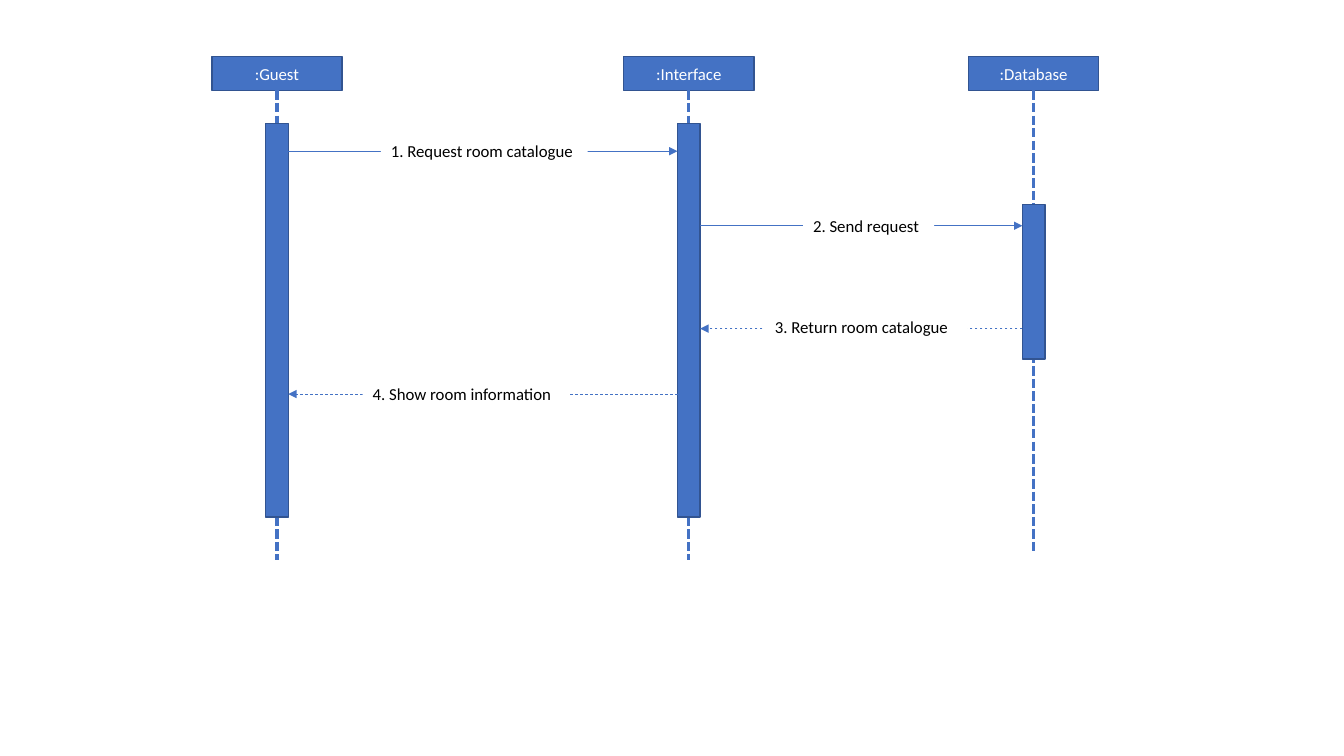
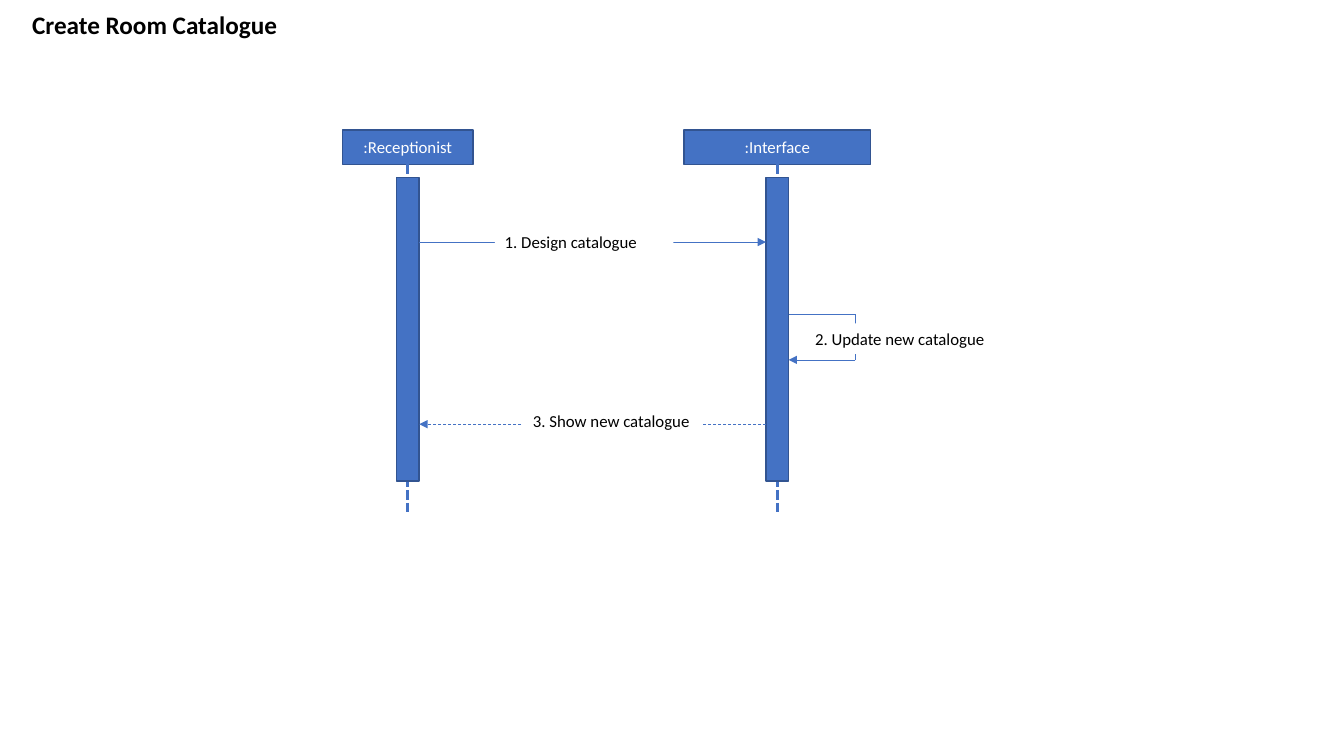
from dataclasses import dataclass

from lxml import etree
from pptx import Presentation
from pptx.dml.color import RGBColor
from pptx.enum.dml import MSO_LINE
from pptx.enum.shapes import MSO_CONNECTOR, MSO_SHAPE
from pptx.enum.text import MSO_ANCHOR, MSO_AUTO_SIZE, PP_ALIGN
from pptx.oxml.ns import qn
from pptx.util import Cm, Pt

RECTANGLE = MSO_SHAPE.RECTANGLE
STRAIGHT = MSO_CONNECTOR.STRAIGHT
SHORT_DASH = MSO_LINE.SQUARE_DOT
DASH = MSO_LINE.DASH
MIDDLE = MSO_ANCHOR.MIDDLE
CENTER = PP_ALIGN.CENTER
GROW = MSO_AUTO_SIZE.SHAPE_TO_FIT_TEXT


@dataclass(frozen=True)
class Theme:
    """Colours, type sizes, line weights and shared measures in centimetres."""
    font: str = "Calibri"
    blue: RGBColor = RGBColor(0x44, 0x72, 0xC4)
    outline: RGBColor = RGBColor(0x32, 0x54, 0x91)
    white: RGBColor = RGBColor(0xFF, 0xFF, 0xFF)
    black: RGBColor = RGBColor(0, 0, 0)
    title_size: float = 18
    body_size: float = 12
    outline_weight: float = 1
    lifeline_weight: float = 2.25
    message_weight: float = 0.5
    head_height: float = 0.86
    bar_width: float = 0.57
    label_height: float = 0.77


THEME = Theme()


@dataclass(frozen=True)
class Box:
    """A region of the slide in centimetres."""
    left: float
    top: float
    width: float
    height: float

    def inner(self, left, top, width, height):
        """Return a box placed relative to this one."""
        return Box(self.left + left, self.top + top, width, height)

    def lengths(self):
        """Return the four measures as slide lengths."""
        return [Cm(value) for value in (self.left, self.top, self.width, self.height)]


@dataclass(frozen=True)
class Participant:
    """A lifeline with its head and activation bar, relative to the diagram."""
    name: str
    center: float
    bar_top: float
    bar_height: float
    line_end: float
    head_width: float = 3.28

    def edge(self, side):
        """Return the bar edge on the right (1) or left (-1) side."""
        return self.center + side * THEME.bar_width / 2


@dataclass(frozen=True)
class Message:
    """A call between two participants, or a reply when dashed."""
    text: str
    sender: int
    receiver: int
    y: float
    label_left: float
    label_width: float
    label_lift: float = 0.38
    reply: bool = False


@dataclass(frozen=True)
class SelfMessage:
    """A call that loops back to its own participant."""
    text: str
    owner: int
    y: float
    reach: float
    drop: float
    label_left: float
    label_top: float
    label_width: float


def write_text(shape, text, size, color, bold=False):
    """Set one line of text on a shape and return its paragraph."""
    shape.text_frame.text = text
    paragraph = shape.text_frame.paragraphs[0]
    font = paragraph.runs[0].font
    font.name, font.size, font.bold = THEME.font, Pt(size), bold
    font.color.rgb = color
    return paragraph


def add_block(slide, box):
    """Add an outlined blue rectangle."""
    shape = slide.shapes.add_shape(RECTANGLE, *box.lengths())
    shape.shadow.inherit = False
    shape.fill.solid()
    shape.fill.fore_color.rgb = THEME.blue
    shape.line.color.rgb = THEME.outline
    shape.line.width = Pt(THEME.outline_weight)
    return shape


def add_text(slide, box, text, size, bold=False):
    """Add a growing text box in black."""
    shape = slide.shapes.add_textbox(*box.lengths())
    shape.text_frame.word_wrap = True
    shape.text_frame.auto_size = GROW
    write_text(shape, text, size, THEME.black, bold)
    return shape


def add_label(slide, box, text):
    """Add a message label that masks the line behind it."""
    label = add_text(slide, box, text, THEME.body_size)
    label.fill.solid()
    label.fill.fore_color.rgb = THEME.white


def add_line(slide, box, start, end, weight, dash=None, arrow=False):
    """Draw a straight line between two points relative to the box."""
    points = [Cm(value) for x, y in (start, end) for value in (box.left + x, box.top + y)]
    connector = slide.shapes.add_connector(STRAIGHT, *points)
    connector.line.color.rgb = THEME.blue
    connector.line.width = Pt(weight)
    if dash is not None:
        connector.line.dash_style = dash
    properties = connector._element.spPr
    if arrow:
        etree.SubElement(properties.find(qn("a:ln")), qn("a:tailEnd"), type="triangle")
    etree.SubElement(properties, qn("a:effectLst"))


def add_participant(slide, box, participant):
    """Draw a head, its lifeline and its activation bar."""
    center, width = participant.center, participant.head_width
    head = add_block(slide, box.inner(center - width / 2, 0, width, THEME.head_height))
    head.text_frame.vertical_anchor = MIDDLE
    write_text(head, participant.name, THEME.body_size, THEME.white).alignment = CENTER
    add_line(slide, box, (center, THEME.head_height), (center, participant.line_end),
             THEME.lifeline_weight, SHORT_DASH)
    add_block(slide, box.inner(participant.edge(-1), participant.bar_top,
                               THEME.bar_width, participant.bar_height))


def add_message(slide, box, participants, message):
    """Draw an arrow between two bars with its label."""
    side = 1 if message.receiver > message.sender else -1
    start = participants[message.sender].edge(side)
    end = participants[message.receiver].edge(-side)
    add_line(slide, box, (start, message.y), (end, message.y), THEME.message_weight,
             DASH if message.reply else None, arrow=True)
    add_label(slide, box.inner(message.label_left, message.y - message.label_lift,
                               message.label_width, THEME.label_height), message.text)


def add_self_message(slide, box, participants, message):
    """Draw a three-sided loop beside a bar with its label."""
    near = participants[message.owner].edge(1)
    far, bottom = near + message.reach, message.y + message.drop
    corners = [(near, message.y), (far, message.y), (far, bottom), (near, bottom)]
    for start, end in zip(corners, corners[1:]):
        add_line(slide, box, start, end, THEME.message_weight, arrow=end == corners[-1])
    add_label(slide, box.inner(message.label_left, message.label_top,
                               message.label_width, THEME.label_height), message.text)


def add_sequence_slide(presentation, box, participants, messages, title=None):
    """Build a sequence diagram slide with an optional title."""
    slide = presentation.slides.add_slide(presentation.slide_layouts[6])
    if title:
        add_text(slide, Box(0.56, 0.1, 6.76, 1.02), title, THEME.title_size, bold=True)
    for participant in participants:
        add_participant(slide, box, participant)
    for message in messages:
        draw = add_self_message if isinstance(message, SelfMessage) else add_message
        draw(slide, box, participants, message)


def main():
    """Create the presentation and save it."""
    presentation = Presentation()
    presentation.slide_width, presentation.slide_height = Cm(33.87), Cm(19.05)
    add_sequence_slide(
        presentation, Box(5.34, 1.42, 22.35, 12.68),
        [Participant(":Guest", 1.64, 1.7, 9.91, 12.68),
         Participant(":Interface", 12.02, 1.7, 9.91, 12.68),
         Participant(":Database", 20.71, 3.74, 3.89, 12.5)],
        [Message("1. Request room catalogue", 0, 1, 2.39, 4.26, 5.21),
         Message("2. Send request", 1, 2, 4.27, 14.9, 3.3),
         Message("3. Return room catalogue", 2, 1, 6.86, 13.94, 5.11, 0.43, reply=True),
         Message("4. Show room information", 1, 0, 8.51, 3.8, 5.18, reply=True)])
    add_sequence_slide(
        presentation, Box(8.64, 3.28, 16.7, 9.7),
        [Participant(":Receptionist", 1.64, 1.19, 7.65, 9.7),
         Participant(":Interface", 10.95, 1.19, 7.65, 9.7, head_width=4.7)],
        [Message("1. Design catalogue", 0, 1, 2.82, 3.83, 4.5),
         SelfMessage("2. Update new catalogue", 1, 4.64, 1.68, 1.15, 11.65, 4.87, 5.05),
         Message("3. Show new catalogue", 1, 0, 7.41, 4.54, 4.5, 0.46, reply=True)],
        title="Create Room Catalogue")
    presentation.save("out.pptx")


main()
